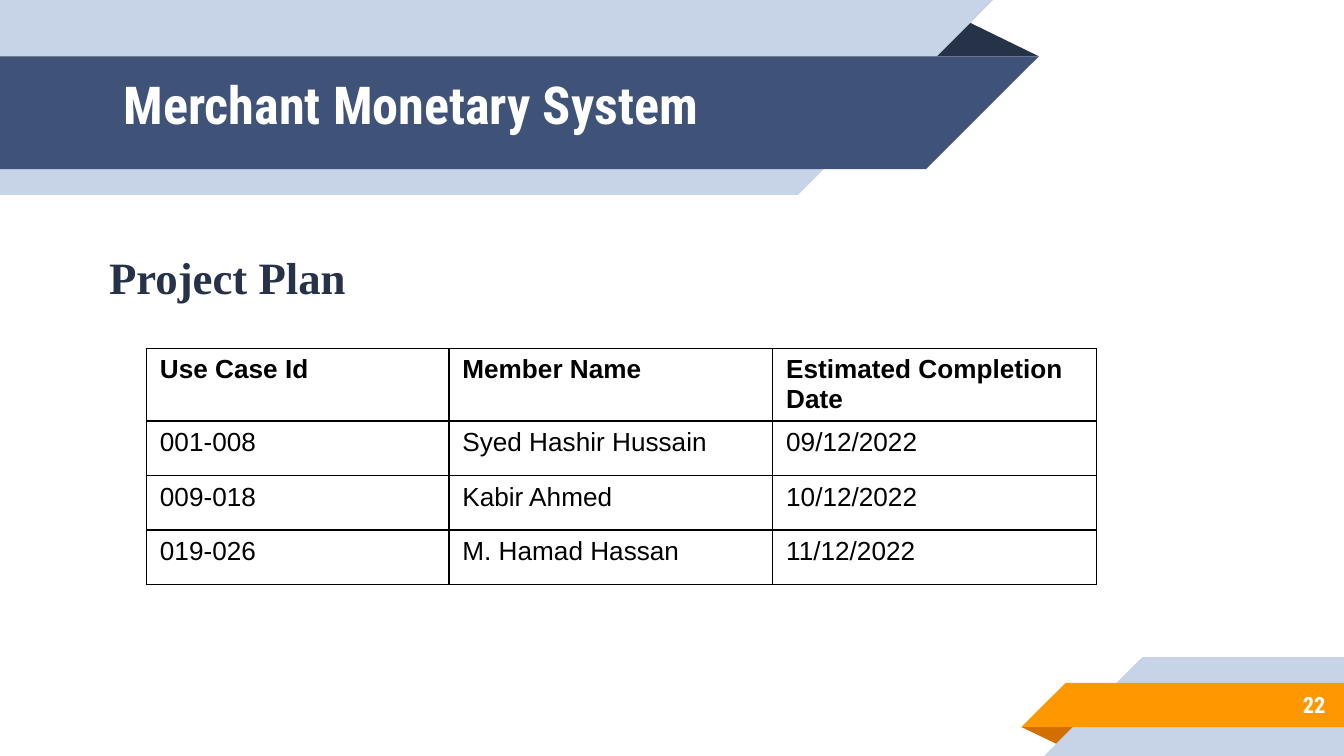
from lxml import etree
from pptx import Presentation
from pptx import util as u
from pptx.dml import color
from pptx.enum import text
from pptx.oxml import ns

COLORS = {
    "pale": "C7D3E6", "blue": "3F5378", "navy": "263248", "orange": "FF9800",
    "rust": "D26F00", "white": "FFFFFF", "black": "000000",
}
RIBBONS = [
    ("rust", [(547.2, 389.5), (578.2, 389.5), (568.2, 399.6)]),
    ("pale", [(612, 352), (720, 352), (720, 405), (559.4, 405)]),
    ("orange", [(571, 365.8), (720, 365.8), (720, 389.5), (547.2, 389.5)]),
    ("navy", [(495.4, 30.2), (515.2, 10), (556.6, 30.2)]),
    ("pale", [(0, 0), (532, 0), (427.6, 104.4), (0, 104.4)]),
    ("blue", [(0, 30.2), (556.6, 30.2), (496.1, 90.7), (0, 90.7)]),
]
PLAN = [
    ["Use Case Id", "Member Name", "Estimated Completion\nDate"],
    ["001-008", "Syed Hashir Hussain", "09/12/2022"],
    ["009-018", "Kabir Ahmed", "10/12/2022"],
    ["019-026", "M. Hamad Hassan", "11/12/2022"],
]


class SlideBuilder:
    """Hold the style and the current slide, and add elements in points."""

    display = "Roboto Condensed"
    serif = "Times New Roman"
    body = "Arial"

    def __init__(self, slide):
        self.slide = slide

    def rgb(self, name):
        return color.RGBColor.from_string(COLORS[name])

    def add_runs(self, frame, content, font, size, color_name, bold=True,
                 align=text.PP_ALIGN.LEFT):
        for index, line in enumerate(content.split("\n")):
            paragraph = frame.add_paragraph() if index else frame.paragraphs[0]
            paragraph.alignment = align
            run = paragraph.add_run()
            run.text = line
            run.font.name = font
            run.font.size = u.Pt(size)
            run.font.bold = bold
            run.font.color.rgb = self.rgb(color_name)

    def fit(self, shape, box, anchor, side=7.2):
        shape.left, shape.top, shape.width, shape.height = map(u.Pt, box)
        frame = shape.text_frame
        frame.word_wrap = True
        frame.auto_size = text.MSO_AUTO_SIZE.NONE
        frame.vertical_anchor = anchor
        frame.margin_left = frame.margin_right = u.Pt(side)
        frame.margin_top = frame.margin_bottom = 0
        return frame

    def ribbon(self, color_name, points):
        corners = [(u.Pt(x), u.Pt(y)) for x, y in points]
        builder = self.slide.shapes.build_freeform(*corners[0])
        builder.add_line_segments(corners[1:], close=True)
        shape = builder.convert_to_shape()
        shape.shadow.inherit = False
        shape.fill.solid()
        shape.fill.fore_color.rgb = self.rgb(color_name)
        shape.line.fill.background()

    def title(self, content, box):
        shape = self.slide.shapes.title
        shape.element.getparent().append(shape.element)
        frame = self.fit(shape, box, text.MSO_ANCHOR.TOP)
        self.add_runs(frame, content, self.display, 28, "white")

    def label(self, content, box, font, size, color_name, side=7.2,
              anchor=text.MSO_ANCHOR.TOP, align=text.PP_ALIGN.LEFT):
        shape = self.slide.shapes.add_textbox(0, 0, 0, 0)
        frame = self.fit(shape, box, anchor, side)
        self.add_runs(frame, content, font, size, color_name, align=align)

    def border(self, cell):
        properties = cell._tc.get_or_add_tcPr()
        for index, tag in enumerate(("a:lnL", "a:lnR", "a:lnT", "a:lnB")):
            line = etree.Element(ns.qn(tag), w=str(u.Pt(0.75)))
            fill = etree.SubElement(line, ns.qn("a:solidFill"))
            etree.SubElement(fill, ns.qn("a:srgbClr"), val=COLORS["black"])
            properties.insert(index, line)

    def table(self, rows, left, top, widths, heights):
        box = map(u.Pt, (left, top, sum(widths), sum(heights)))
        table = self.slide.shapes.add_table(len(rows), len(widths), *box).table
        table.horz_banding = False
        for column, width in zip(table.columns, widths):
            column.width = u.Pt(width)
        for row_index, values in enumerate(rows):
            table.rows[row_index].height = u.Pt(heights[row_index])
            for column_index, value in enumerate(values):
                cell = table.cell(row_index, column_index)
                cell.fill.background()
                self.border(cell)
                self.add_runs(cell.text_frame, value, self.body, 14, "black",
                              bold=row_index == 0)


def main():
    presentation = Presentation()
    presentation.slide_width = u.Pt(720)
    presentation.slide_height = u.Pt(405)
    slide = presentation.slides.add_slide(presentation.slide_layouts[5])
    builder = SlideBuilder(slide)
    for color_name, points in RIBBONS:
        builder.ribbon(color_name, points)
    builder.title("Merchant Monetary System", (59, 38.5, 432.7, 60.5))
    builder.label("22", (599.8, 365, 117.4, 25.2), builder.display, 12, "white",
                  anchor=text.MSO_ANCHOR.MIDDLE, align=text.PP_ALIGN.RIGHT)
    builder.label("Project Plan", (45.4, 133.7, 483, 50.4), builder.serif, 24,
                  "navy", side=13)
    builder.table(PLAN, 78.5, 186.6, [162, 173.5, 173.5], [39] + [29.2] * 3)
    presentation.save("out.pptx")


if __name__ == "__main__":
    main()
